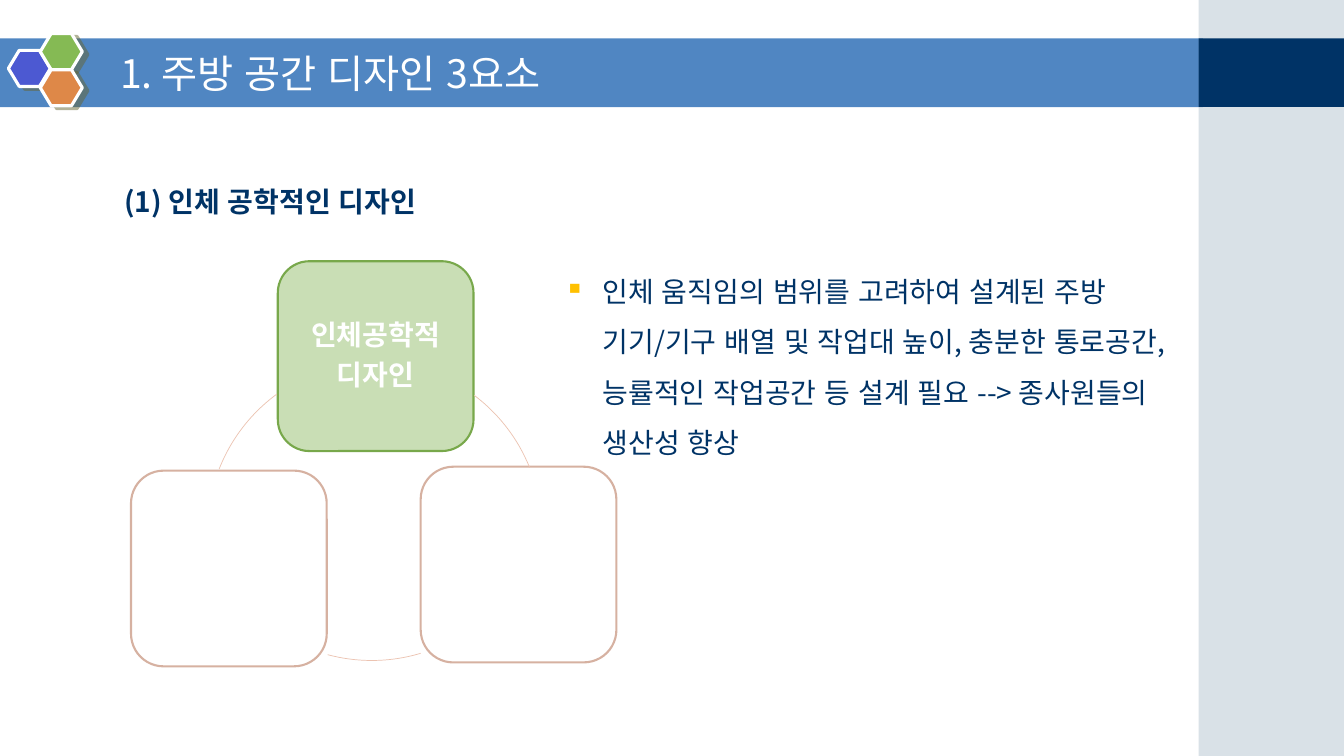
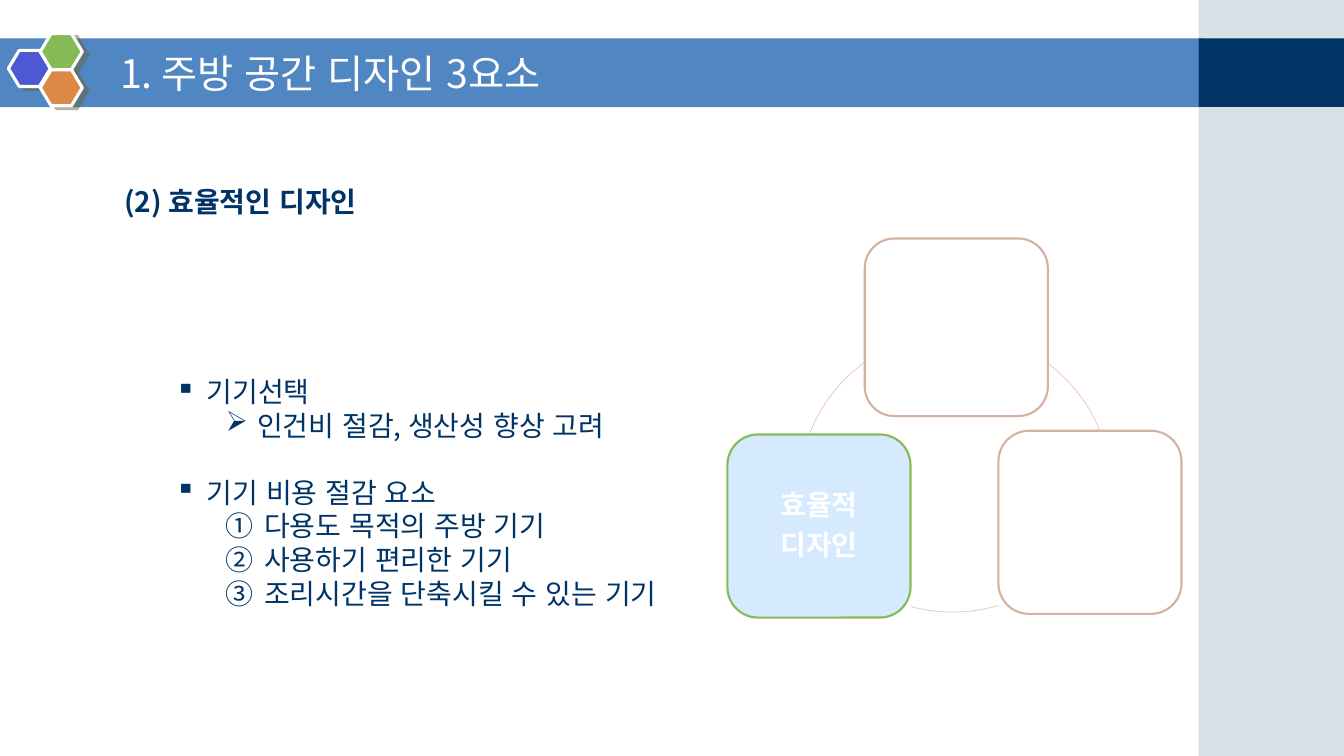
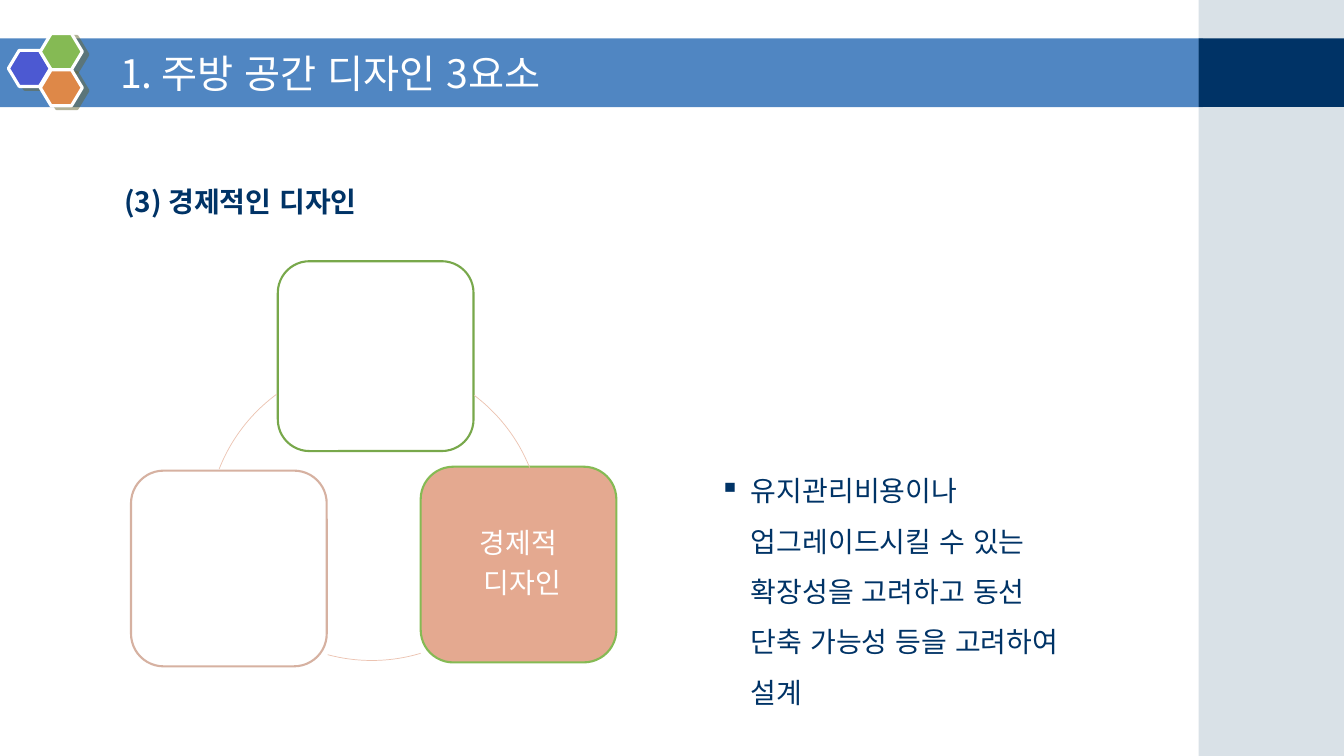
from lxml import etree
from pptx import Presentation
from pptx import util as u
from pptx.dml import color
from pptx.enum import lang, shapes, text
from pptx.oxml import ns

COLUMNS, ROWS = 160, 90
WIDTH, HEIGHT = u.Inches(13.333), u.Inches(7.5)
FONT = "Noto Sans CJK KR"
NAVY, BLUE, WHITE = "003366", "5086C2", "FFFFFF"
GREEN, DARK_GREEN, ROSE, ARC_ROSE = "85BA54", "78A84B", "D6B1A1", "ECC3B1"
TITLE = "1. 주방 공간 디자인 3요소"
LABEL = dict(hue=WHITE, align=text.PP_ALIGN.CENTER, spacing=0.9, after=7)
SQUARE = dict(bullet="▪", margin=0.31, indent=-0.31)
ARROW = dict(bullet="➢", level=1, margin=0.81, indent=-0.31)
NUMBER = dict(numbering="circleNumDbPlain", level=1, margin=0.88, indent=-0.38)

NODES = {
    "top": (0.75, 0, 0.97),
    "right": (1.48, 1.05, 1),
    "left": (0, 1.07, 1),
}
ARCS = [(0.36, 0.51, 307, 338), (0.36, 0.30, 73.3, 105), (0.39, 0.51, 201.5, 233.7)]
ARC_DIAMETER = 1.74


def rgb(value):
    return color.RGBColor.from_string(value)


def grid(left, top, width, height):
    across, down = WIDTH / COLUMNS, HEIGHT / ROWS
    return [round(v) for v in (left * across, top * down, width * across, height * down)]


def add_xml(parent, tag, **attributes):
    values = {name: str(value) for name, value in attributes.items()}
    return etree.SubElement(parent, ns.qn(tag), values)


def add_bullet(properties, bullet, numbering, bullet_hue):
    if bullet_hue:
        add_xml(add_xml(properties, "a:buClr"), "a:srgbClr", val=bullet_hue)
    if numbering:
        add_xml(properties, "a:buAutoNum", type=numbering)
    elif bullet:
        add_xml(properties, "a:buChar", char=bullet)
    else:
        add_xml(properties, "a:buNone")


def format_paragraph(paragraph, content, size=20, hue=NAVY, bold=False,
                     align=text.PP_ALIGN.LEFT, spacing=1, before=0, after=0, level=0,
                     margin=0, indent=0, bullet=None, numbering=None, bullet_hue=None):
    properties = paragraph._p.get_or_add_pPr()
    properties.set("marL", str(u.Inches(margin)))
    properties.set("indent", str(u.Inches(indent)))
    add_bullet(properties, bullet, numbering, bullet_hue)
    paragraph.level, paragraph.alignment = level, align
    paragraph.line_spacing = spacing
    paragraph.space_before, paragraph.space_after = u.Pt(before), u.Pt(after)
    run = paragraph.add_run()
    run.text = content
    font = run.font
    font.size, font.bold, font.name = u.Pt(size), bold, FONT
    font.language_id = lang.MSO_LANGUAGE_ID.KOREAN
    font.color.rgb = rgb(hue)
    add_xml(run._r.get_or_add_rPr(), "a:ea", typeface=FONT)


def write(shape, lines, anchor=text.MSO_ANCHOR.TOP, fit=text.MSO_AUTO_SIZE.NONE, **style):
    frame = shape.text_frame
    frame.word_wrap, frame.auto_size, frame.vertical_anchor = True, fit, anchor
    for index, line in enumerate(lines):
        content, changes = line if isinstance(line, tuple) else (line, {})
        paragraph = frame.add_paragraph() if index else frame.paragraphs[0]
        format_paragraph(paragraph, content, **{**style, **changes})


def add_shape(slide, kind, place, fill=None, line=None, weight=1.5):
    shape = slide.shapes.add_shape(kind, *grid(*place))
    shape.shadow.inherit = False
    if fill:
        shape.fill.solid()
        shape.fill.fore_color.rgb = rgb(fill)
    else:
        shape.fill.background()
    if line:
        shape.line.color.rgb = rgb(line)
        shape.line.width = u.Pt(weight)
    else:
        shape.line.fill.background()
    return shape


def add_hexagon(slide, left, top, fill):
    hexagon = add_shape(slide, shapes.MSO_SHAPE.HEXAGON, (left, top, 5, 4.3), fill, WHITE, 2.25)
    hexagon.adjustments[0] = 0.3
    effects = hexagon._element.spPr.find(ns.qn("a:effectLst"))
    shadow = add_xml(effects, "a:outerShdw", dist=u.Pt(4.5), dir=27 * 60000, algn="ctr",
                     rotWithShape=0)
    add_xml(add_xml(shadow, "a:srgbClr", val="666633"), "a:alpha", val=50000)
    return hexagon


def set_up_layout(layout, slide):
    for placeholder in list(layout.placeholders):
        if placeholder.placeholder_format.idx > 1:
            placeholder.element.getparent().remove(placeholder.element)
    places = [(13.1, 5, 127.3, 7.4), (8.9, 19.4, 151.1, 63.7)]
    for placeholder, place in zip(layout.placeholders, places):
        (placeholder.left, placeholder.top,
         placeholder.width, placeholder.height) = grid(*place)
    rectangle = shapes.MSO_SHAPE.RECTANGLE
    band = add_shape(slide, rectangle, (0, 4.56, 143.2, 8.2), BLUE)
    side = add_shape(slide, rectangle, (142.7, 0, 17.3, ROWS), "A0B5C4")
    side_hue = side._element.spPr.find(ns.qn("a:solidFill"))[0]
    add_xml(side_hue, "a:alpha", val=40000)
    corner = add_shape(slide, rectangle, (142.7, 4.56, 17.3, 8.16), NAVY)
    hexagons = [add_hexagon(slide, *hexagon) for hexagon in
                [(1, 6, "4C59D2"), (4.8, 4, GREEN), (4.8, 8.3, "DE8848")]]
    for index, shape in enumerate([band, side, corner, *hexagons]):
        layout.shapes.element.insert(2 + index, shape.element)


def add_heading(slide, heading):
    write(slide.shapes.title, [TITLE], anchor=text.MSO_ANCHOR.MIDDLE, size=28, hue=WHITE)
    write(slide.placeholders[1], [heading], bold=True, level=1, margin=0.39, spacing=1.5)


def add_text(slide, place, lines, **style):
    box = slide.shapes.add_textbox(*grid(*place))
    write(box, lines, fit=text.MSO_AUTO_SIZE.SHAPE_TO_FIT_TEXT, **style)


def add_ring(slide, left, top, size, active, fill, label, bold=True, outlines=None):
    hues = {name: ROSE for name in NODES} | (outlines or {})
    for name, (x, y, height) in NODES.items():
        place = (left + x * size, top + y * size, size, height * size)
        node = add_shape(slide, shapes.MSO_SHAPE.ROUNDED_RECTANGLE, place,
                         fill if name == active else WHITE, hues[name])
        if name == active:
            write(node, label, anchor=text.MSO_ANCHOR.MIDDLE, bold=bold, **LABEL)
    for x, y, start, end in ARCS:
        diameter = ARC_DIAMETER * size
        arc = add_shape(slide, shapes.MSO_SHAPE.ARC,
                        (left + x * size, top + y * size, diameter, diameter),
                        line=ARC_ROSE, weight=0.5)
        for index, degrees in enumerate((start, end)):
            arc.adjustments[index] = degrees * 0.6


def fill_ergonomic(slide):
    add_heading(slide, "(1) 인체 공학적인 디자인")
    add_ring(slide, 15.6, 31.1, 23.3, "top", "C9DEB5", ["인체공학적", "디자인"],
             outlines={"top": DARK_GREEN})
    add_text(slide, (66, 30.1, 74.3, 18.8), [
        "인체 움직임의 범위를 고려하여 설계된 주방 기기/기구 배열 및 작업대 높이, "
        "충분한 통로공간, 능률적인 작업공간 등 설계 필요 --> 종사원들의 생산성 향상",
    ], spacing=1.5, bullet="▪", bullet_hue="FFC000", margin=0.38, indent=-0.38)


def fill_efficient(slide):
    add_heading(slide, "(2) 효율적인 디자인")
    add_text(slide, (19.7, 44, 74.3, 29.5), [
        ("기기선택", SQUARE),
        ("인건비 절감, 생산성 향상 고려", ARROW),
        ("기기 비용 절감 요소", {**SQUARE, "before": 24}),
        ("다용도 목적의 주방 기기", NUMBER),
        ("사용하기 편리한 기기", NUMBER),
        ("조리시간을 단축시킬 수 있는 기기", NUMBER),
    ])
    add_ring(slide, 86.6, 28.4, 21.8, "left", "D5E9FF", ["효율적", "디자인"],
             outlines={"left": GREEN})


def fill_economic(slide):
    add_heading(slide, "(3) 경제적인 디자인")
    add_text(slide, (84.5, 53.8, 44, 25), [
        "유지관리비용이나 업그레이드시킬 수 있는 확장성을 고려하고 동선 단축 가능성 등을 "
        "고려하여 설계",
    ], spacing=1.5, **SQUARE)
    add_ring(slide, 15.6, 31.1, 23.3, "right", "E4A990", ["경제적", " 디자인"], bold=False,
             outlines={"top": DARK_GREEN, "right": GREEN})


def main():
    presentation = Presentation()
    presentation.slide_width, presentation.slide_height = WIDTH, HEIGHT
    layout = presentation.slide_layouts[1]
    fillers = [fill_ergonomic, fill_efficient, fill_economic]
    slides = [presentation.slides.add_slide(layout) for _ in fillers]
    set_up_layout(layout, slides[0])
    for slide, fill_slide in zip(slides, fillers):
        fill_slide(slide)
    presentation.save("out.pptx")


if __name__ == "__main__":
    main()
